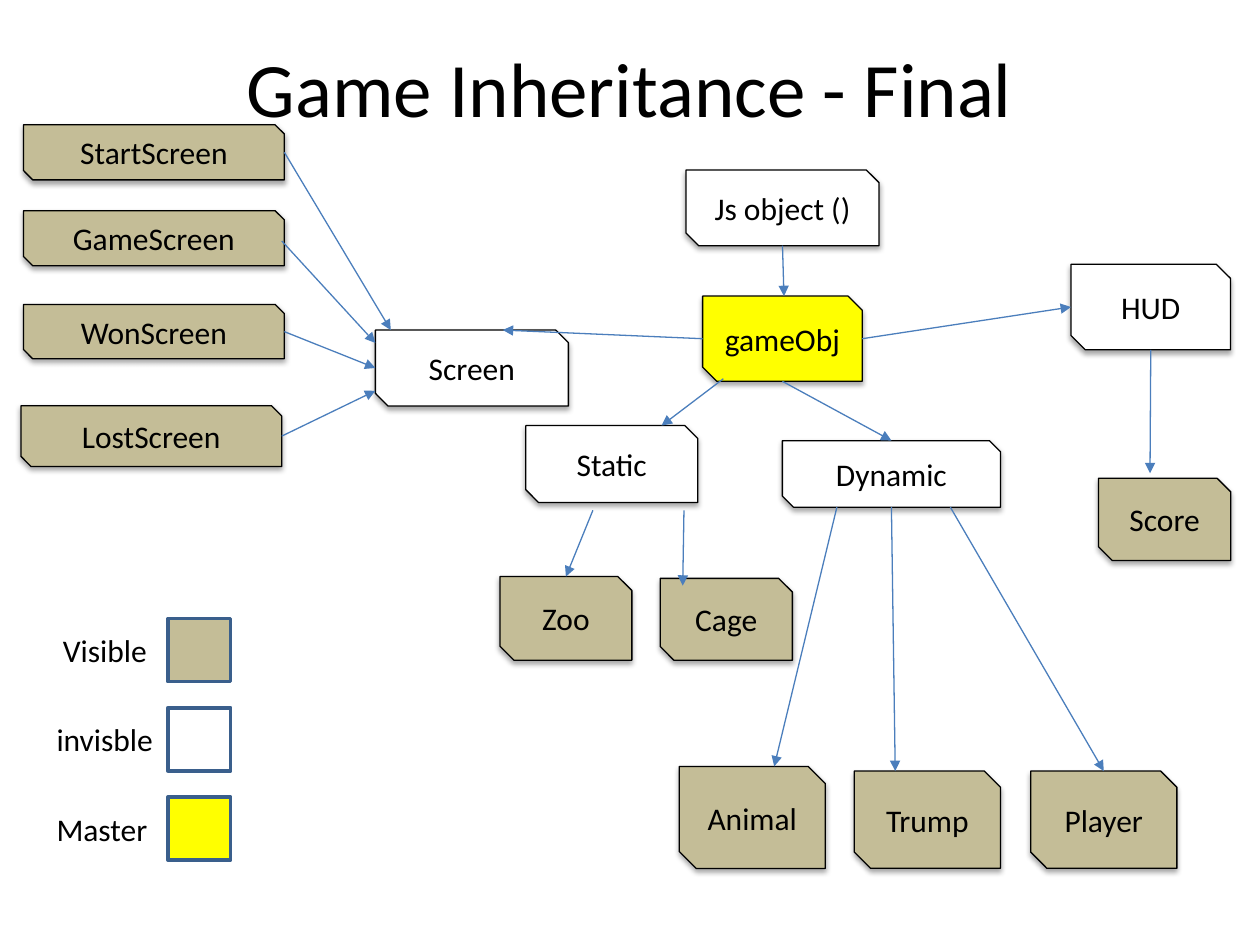
import pptx
import pptx.util
import pptx.dml.color
import pptx.enum.shapes
import pptx.enum.text
import pptx.oxml
from pptx.oxml.ns import nsdecls, qn

Pt = pptx.util.Pt
SHAPES = pptx.enum.shapes.MSO_SHAPE
ALIGN = pptx.enum.text.PP_ALIGN
ANCHOR = pptx.enum.text.MSO_ANCHOR

VISIBLE, INVISIBLE, MASTER = "C4BD97", "FFFFFF", "FFFF00"
BLACK, ARROW, SWATCH_EDGE = "000000", "4B7EBC", "3A5F8C"

# Class boxes: left, top, width, height, fill
CLASSES = {
    "StartScreen": (13.5, 71.3, 149, 31.5, VISIBLE),
    "GameScreen": (13.5, 120.4, 149, 31.5, VISIBLE),
    "WonScreen": (13.5, 174, 149, 31, VISIBLE),
    "LostScreen": (12, 231.9, 149, 34.7, VISIBLE),
    "Screen": (214.5, 188.6, 110.3, 43.4, INVISIBLE),
    "Js object ()": (392, 97.2, 110.3, 43.2, INVISIBLE),
    "gameObj": (401.5, 169.2, 91.2, 48.7, MASTER),
    "HUD": (612, 151, 91.2, 48.9, INVISIBLE),
    "Score": (627.7, 273.3, 75.6, 47, VISIBLE),
    "Static": (300.5, 243.2, 98.2, 44, INVISIBLE),
    "Dynamic": (447.1, 251.8, 124.6, 38, INVISIBLE),
    "Zoo": (285.7, 329.5, 75.4, 47.8, VISIBLE),
    "Cage": (377.3, 330.5, 75.5, 46.8, VISIBLE),
    "Animal": (388.2, 438, 83.4, 58.3, VISIBLE),
    "Trump": (488.2, 440.6, 83.5, 55.6, VISIBLE),
    "Player": (589, 440.6, 83.5, 55.6, VISIBLE),
}

# Arrows: each end is a class and a point as fractions of its box
ARROWS = [
    ("StartScreen", 1, 0.5, "Screen", 0.08, 0),
    ("GameScreen", 0.99, 0.55, "Screen", 0, 0.17),
    ("WonScreen", 1, 0.5, "Screen", 0, 0.5),
    ("LostScreen", 1, 0.5, "Screen", 0, 0.8),
    ("gameObj", 0, 0.5, "Screen", 0.66, 0),
    ("gameObj", 1, 0.5, "HUD", 0, 0.5),
    ("gameObj", 0.13, 0.97, "Static", 0.79, 0),
    ("gameObj", 0.5, 1, "Dynamic", 0.5, 0),
    ("Js object ()", 0.5, 1, "gameObj", 0.51, 0),
    ("HUD", 0.5, 1, "Score", 0.39, -0.06),
    ("Static", 0.39, 1.1, "Zoo", 0.5, 0),
    ("Static", 0.92, 1.1, "Cage", 0.17, 0.09),
    ("Dynamic", 0.25, 1, "Animal", 0.65, 0),
    ("Dynamic", 0.5, 1, "Trump", 0.28, 0),
    ("Dynamic", 0.77, 1, "Player", 0.5, 0),
]

# Legend rows: label, label indent, fill
LEGEND = [("Visible", 3.6, VISIBLE), ("invisble", 0, INVISIBLE), ("Master", 0, MASTER)]


def color(hex_string):
    return pptx.dml.color.RGBColor.from_string(hex_string)


def write_text(shape, text, size=18, align=ALIGN.CENTER, anchor=ANCHOR.MIDDLE, wrap=True):
    frame = shape.text_frame
    frame.word_wrap = wrap
    frame.vertical_anchor = anchor
    paragraph = frame.paragraphs[0]
    paragraph.alignment = align
    run = paragraph.add_run()
    run.text = text
    run.font.size = Pt(size)
    run.font.name = "Calibri"
    run.font.color.rgb = color(BLACK)


def add_box(slide, kind, box, fill, edge, edge_width):
    shape = slide.shapes.add_shape(kind, *[Pt(length) for length in box])
    shape.shadow.inherit = False
    shape.fill.solid()
    shape.fill.fore_color.rgb = color(fill)
    shape.line.color.rgb = color(edge)
    shape.line.width = Pt(edge_width)
    return shape


def add_shadow(shape):
    effects = shape._element.spPr.find(qn("a:effectLst"))
    effects.append(pptx.oxml.parse_xml(
        f'<a:outerShdw {nsdecls("a")} blurRad="{Pt(3.1)}" dist="{Pt(1.8)}" dir="5400000" '
        f'rotWithShape="0"><a:srgbClr val="{BLACK}"><a:alpha val="35000"/></a:srgbClr>'
        '</a:outerShdw>'))


def add_class(slide, name):
    *box, fill = CLASSES[name]
    shape = add_box(slide, SHAPES.SNIP_2_DIAG_RECTANGLE, box, fill, BLACK, 0.75)
    add_shadow(shape)
    write_text(shape, name)


def point_on(name, across, down):
    left, top, width, height, _ = CLASSES[name]
    return Pt(left + across * width), Pt(top + down * height)


def add_arrow(slide, start, end):
    connector = slide.shapes.add_connector(
        pptx.enum.shapes.MSO_CONNECTOR.STRAIGHT, *start, *end)
    connector.line.color.rgb = color(ARROW)
    connector.line.width = Pt(0.75)
    connector.line._get_or_add_ln().append(
        pptx.oxml.parse_xml(f'<a:tailEnd {nsdecls("a")} type="triangle"/>'))
    connector._element.spPr.append(
        pptx.oxml.parse_xml(f'<a:effectLst {nsdecls("a")}/>'))


def add_title(slide, box, text):
    title = slide.shapes.title
    title.left, title.top, title.width, title.height = [Pt(length) for length in box]
    write_text(title, text, size=44)


def add_diagram(slide):
    for name in CLASSES:
        add_class(slide, name)
    for source, x1, y1, target, x2, y2 in ARROWS:
        add_arrow(slide, point_on(source, x1, y1), point_on(target, x2, y2))


def add_legend(slide, left, top, row_pitch=51, swatch=36):
    for row, (text, indent, fill) in enumerate(LEGEND):
        row_top = top + row * row_pitch
        add_box(slide, SHAPES.RECTANGLE, (left + 70.7, row_top, swatch, swatch),
                fill, SWATCH_EDGE, 2)
        label = slide.shapes.add_textbox(
            Pt(left + indent), Pt(row_top + 3.6), Pt(70.6), Pt(29))
        write_text(label, text, align=ALIGN.LEFT, anchor=ANCHOR.TOP)
        label.text_frame.auto_size = pptx.enum.text.MSO_AUTO_SIZE.SHAPE_TO_FIT_TEXT


presentation = pptx.Presentation()
presentation.slide_width, presentation.slide_height = Pt(720), Pt(540)
slide = presentation.slides.add_slide(presentation.slide_layouts[5])
add_title(slide, (36, 4.3, 648, 90), "Game Inheritance - Final")
add_diagram(slide)
add_legend(slide, 25.2, 353.5)
presentation.save("out.pptx")
